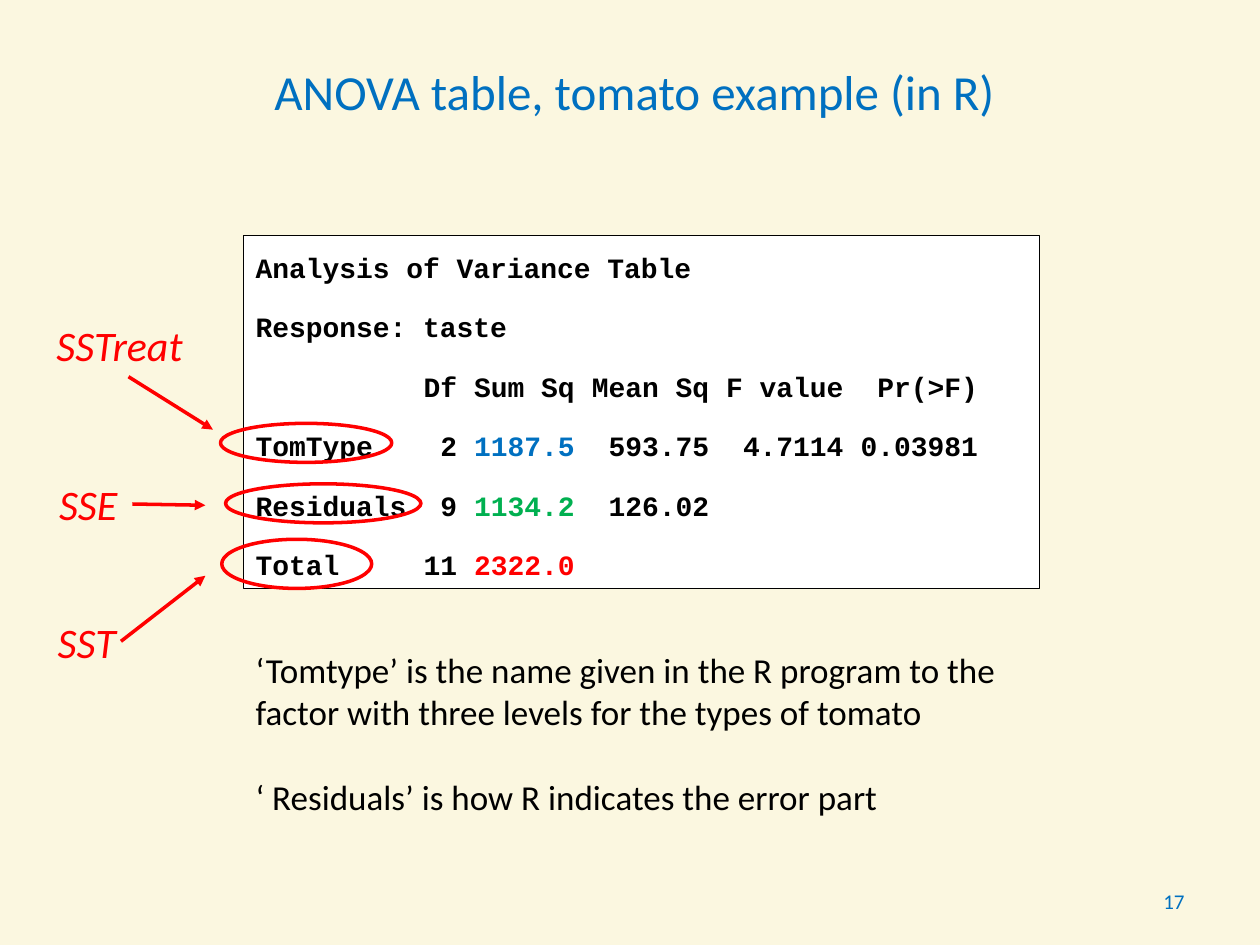
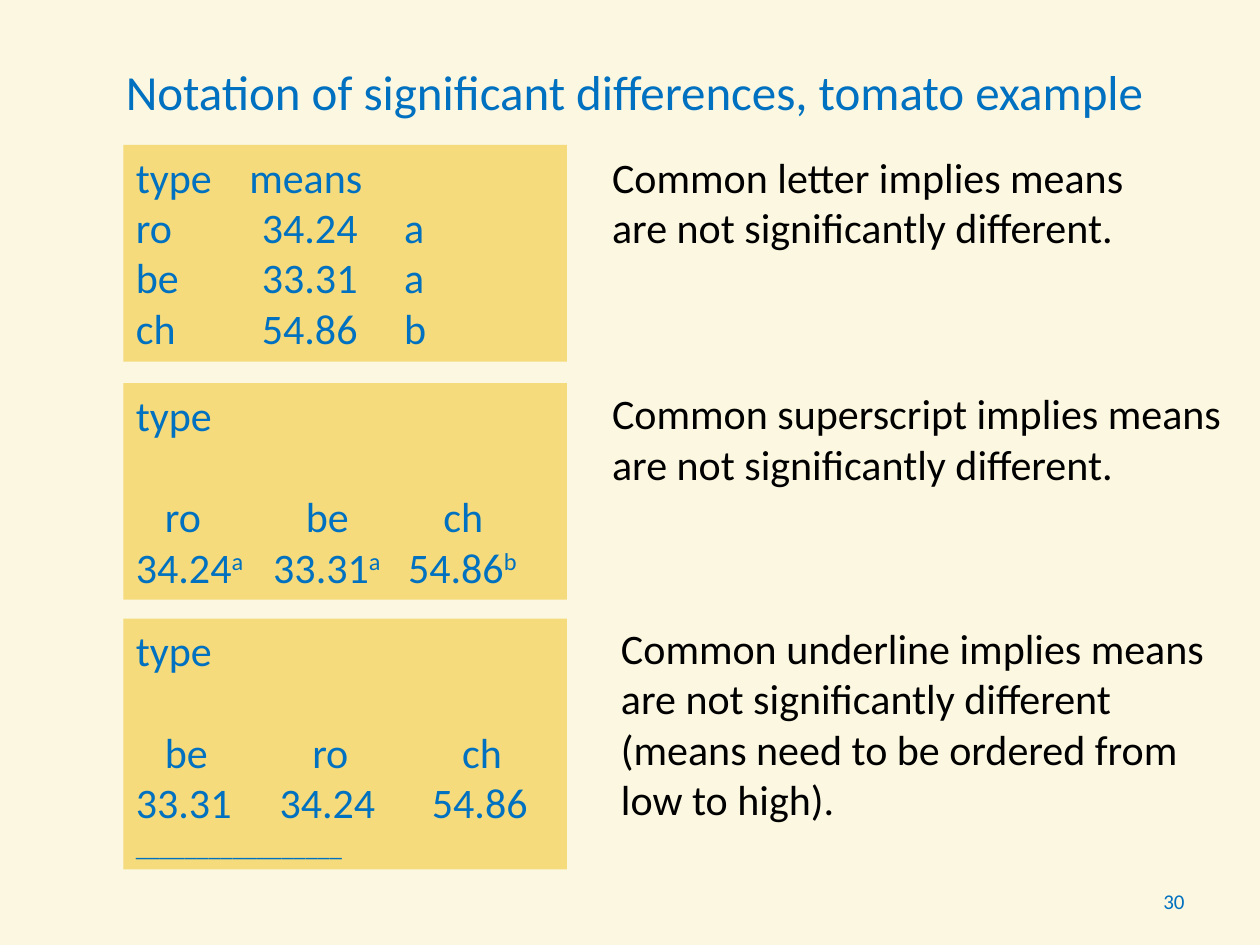
"""Build two slides on the ANOVA table and on notation of significant differences."""
from pptx import Presentation
from pptx.dml.color import RGBColor
from pptx.enum.shapes import MSO_CONNECTOR, MSO_SHAPE
from pptx.enum.text import MSO_ANCHOR, MSO_AUTO_SIZE, PP_ALIGN
from pptx.oxml.ns import qn
from pptx.util import Inches, Pt
from lxml.etree import SubElement

BLUE, RED, GREEN, BLACK, WHITE = "0070C0", "FF0000", "00B050", "000000", "FFFFFF"
CREAM, GOLD = "FBF7E0", "F5DB7B"
LINE_HEIGHT = 1.22


def paint(target, color):
    """Give a fill a solid colour, or a font its colour."""
    if hasattr(target, "solid"):
        target.solid()
        target.fore_color.rgb = RGBColor.from_string(color)
    else:
        target.color.rgb = RGBColor.from_string(color)


def write(s, box, rows, size, color, font="Calibri", fill=None, align="l"):
    """Add a text box whose rows are (list of run texts, tab stops in inches)."""
    sp = s.shapes.add_textbox(*map(Inches, box))
    if fill:
        paint(sp.fill, fill)
    tf = sp.text_frame
    tf.word_wrap = True
    for i, (texts, tabs) in enumerate(rows):
        p = tf.paragraphs[0] if i == 0 else tf.add_paragraph()
        for text in texts:
            r = p.add_run()
            r.text = text
            r.font.name, r.font.size = font, Pt(size)
            paint(r.font, color)
        if tabs:
            stops = SubElement(p._p.get_or_add_pPr(), qn("a:tabLst"))
            for tab in tabs:
                SubElement(stops, qn("a:tab"), pos=str(Inches(tab)), algn=align)
    return sp


prs = Presentation()
prs.slide_width, prs.slide_height = Inches(10), Inches(7.5)
paint(prs.slide_master.background.fill, CREAM)

slides = []
for title, number in [
    ("ANOVA table, tomato example (in R)", "17"),
    ("Notation of significant differences, tomato example", "30"),
]:
    s = prs.slides.add_slide(prs.slide_layouts[5])
    slides.append(s)
    sp = s.shapes.title
    sp.left, sp.top, sp.width, sp.height = map(Inches, (0.43, 0.44, 9.21, 0.65))
    tf = sp.text_frame
    tf.text = title
    tf.auto_size = MSO_AUTO_SIZE.NONE
    tf.vertical_anchor = MSO_ANCHOR.TOP
    p = tf.paragraphs[0]
    p.alignment = PP_ALIGN.CENTER
    r = p.runs[0]
    r.font.name, r.font.size = "Calibri", Pt(28)
    paint(r.font, BLUE)
    sp = write(s, (8.78, 6.95, 0.72, 0.4), [([number], None)], 12, BLUE)
    sp.text_frame.vertical_anchor = MSO_ANCHOR.MIDDLE
    sp.text_frame.paragraphs[0].alignment = PP_ALIGN.RIGHT

s = slides[0]
char_width = 16 * 0.6 / 72
columns = [n * char_width for n in (12, 19, 27, 35, 43)]
anova = [
    (["Analysis of Variance Table"], None),
    (["Response: taste"], None),
    (["\tDf\tSum Sq\tMean Sq\tF value\tPr(>F)"], columns),
    (["TomType\t2\t", "1187.5", "\t593.75\t4.7114\t0.03981"], columns),
    (["Residuals\t9\t", "1134.2", "\t126.02"], columns),
    (["Total\t11\t", "2322.0"], columns),
]
sp = write(s, (1.93, 1.87, 6.32, 2.8), anova, 16, BLACK, "Courier New", WHITE, "r")
paint(sp.line.fill, BLACK)
sp.line.width = Pt(0.75)
for p in sp.text_frame.paragraphs:
    p.line_spacing, p.space_after = 1.25, Pt(10)
    for r in p.runs:
        r.font.bold = True
for p, color in zip(sp.text_frame.paragraphs[3:], (BLUE, GREEN, RED)):
    paint(p.runs[1].font, color)

for label, label_box, ring, start, end in [
    ("SSTreat", (0.35, 2.49, 1.34, 0.5), (1.75, 3.36, 1.36, 0.31), (1.02, 2.99), (1.69, 3.41)),
    ("SSE", (0.37, 3.75, 1.02, 0.5), (1.79, 3.84, 1.55, 0.31), (1.05, 4), (1.63, 4.01)),
    ("SST", (0.36, 4.84, 1.57, 0.5), (1.76, 4.28, 1.19, 0.39), (0.96, 5.09), (1.63, 4.57)),
]:
    oval = s.shapes.add_shape(MSO_SHAPE.OVAL, *map(Inches, ring))
    oval.fill.background()
    oval.shadow.inherit = False
    sp = write(s, label_box, [([label], None)], 24, RED)
    sp.text_frame.paragraphs[0].runs[0].font.italic = True
    arrow = s.shapes.add_connector(MSO_CONNECTOR.STRAIGHT, *map(Inches, start + end))
    for outline in (oval.line, arrow.line):
        paint(outline.fill, RED)
        outline.width = Pt(2)
    SubElement(arrow.line._get_or_add_ln(), qn("a:tailEnd"), type="triangle")
    SubElement(arrow._element.spPr, qn("a:effectLst"))

notes = [
    (["‘Tomtype’ is the name given in the R program to the factor with "
      "three levels for the types of tomato"], None),
    (["‘ Residuals’ is how R indicates the error part"], None),
]
sp = write(s, (1.93, 5.1, 6.32, 1.45), notes, 20, BLACK)
sp.text_frame.paragraphs[0].space_after = Pt(20 * LINE_HEIGHT)

s = slides[1]
letter_tabs = (1, 2.13)
letters = [
    (["type\tmeans"], (0.9,)),
    (["ro\t34.24\ta"], letter_tabs),
    (["be\t33.31\ta"], letter_tabs),
    (["ch\t54.86\tb"], letter_tabs),
]
superscripts = [
    (["type"], None),
    (["\tro\tbe\tch"], (0.23, 1.35, 2.44)),
    (["34.24", "a", "\t33.31", "a", "\t54.86", "b"], (1.09, 2.16)),
]
underlines = [
    (["type"], None),
    (["\tbe\tro\tch"], (0.23, 1.4, 2.59)),
    (["33.31\t34.24\t54.86"], (1.14, 2.35)),
    (["_" * 17], None),
]
panels = []
for top, height, rows in [(1.15, 1.72, letters), (3.04, 1.72, superscripts),
                          (4.91, 1.99, underlines)]:
    sp = write(s, (0.98, top, 3.52, height), rows, 24, BLUE, fill=GOLD)
    panels.append(sp.text_frame.paragraphs)
for paragraphs in panels[1:]:
    paragraphs[0].space_after = Pt(24 * LINE_HEIGHT)
for r in panels[1][2].runs[1::2] + panels[2][3].runs:
    r._r.get_or_add_rPr().set("baseline", "30000")

for box, texts in [
    ((4.76, 1.15, 4.57, 0.91),
     ["Common letter implies means are not significantly different."]),
    ((4.76, 3.03, 5.04, 0.91),
     ["Common superscript implies means are not significantly different."]),
    ((4.83, 4.89, 4.98, 1.72),
     ["Common underline implies means are not significantly different",
      "(means need to be ordered from low to high)."]),
]:
    write(s, box, [([text], None) for text in texts], 24, BLACK)

prs.save("out.pptx")
